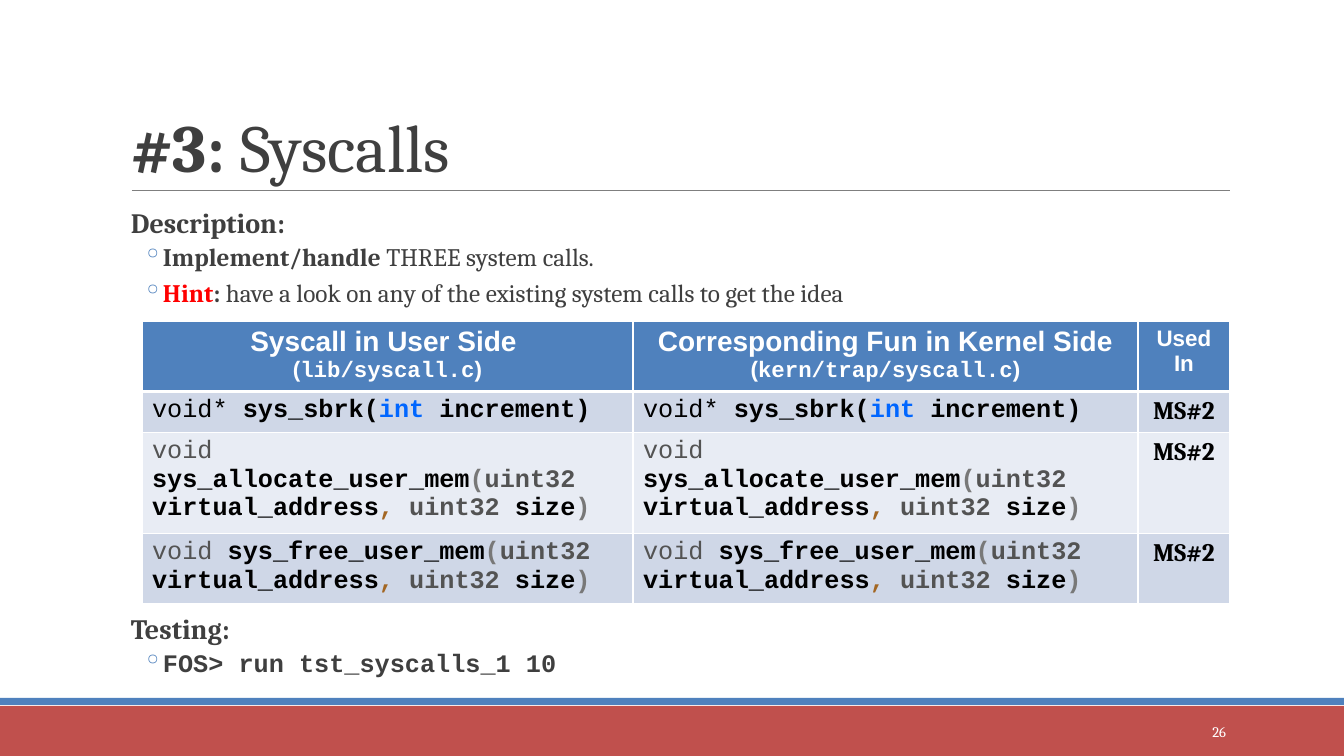
from lxml.etree import SubElement
from pptx import Presentation
from pptx.dml.color import RGBColor
from pptx.enum.shapes import MSO_CONNECTOR, MSO_SHAPE
from pptx.enum.text import MSO_ANCHOR, PP_ALIGN
from pptx.oxml.ns import qn
from pptx.util import Emu, Pt

BLUE, RED, WHITE, BLACK, DARK = "4F81BD", "C0504D", "FFFFFF", "000000", "3F3F3F"
GREY, BRACKET, COMMA, KEYWORD = "535353", "787878", "A36622", "0066FF"
SERIF, SANS, MONO = "Cambria", "Arial", "Courier New"


def px(*values):
    return [Emu(round(value * 914400 / 100.8)) for value in values]


def write(para, spans, **para_format):
    """Each span is (text, font name, size, colour, bold)."""
    for name, value in para_format.items():
        setattr(para, name, value)
    for text, font_name, size, colour, bold in spans:
        span = para.add_run()
        span.text = text
        font_format = {"name": font_name, "size": Pt(size), "bold": bold}
        for name, value in font_format.items():
            setattr(span.font, name, value)
        span.font.color.rgb = RGBColor.from_string(colour)


deck = Presentation()
deck.slide_width, deck.slide_height = px(1344, 756)
page = deck.slides.add_slide(deck.slide_layouts[5])

# Footer bands
for top, height, colour in [(706, 50, RED), (698, 7, BLUE)]:
    band = page.shapes.add_shape(MSO_SHAPE.RECTANGLE, *px(0, top, 1344, height))
    band.shadow.inherit = False
    band.fill.solid()
    band.fill.fore_color.rgb = RGBColor.from_string(colour)
    band.line.fill.background()

# Rule under the title
rule = page.shapes.add_connector(MSO_CONNECTOR.STRAIGHT, *px(132, 191, 1230, 191))
rule.line.color.rgb = RGBColor.from_string("7F7F7F")
rule.line.width = Pt(0.75)
SubElement(rule._element.spPr, qn("a:effectLst"))

# Title
title = page.shapes.title
title.left, title.top, title.width, title.height = px(121, 31, 1109, 160)
title.text_frame.vertical_anchor = MSO_ANCHOR.BOTTOM
write(title.text_frame.paragraphs[0],
      [("#3:", SERIF, 48, DARK, True), (" Syscalls", SERIF, 48, DARK, False)],
      alignment=PP_ALIGN.LEFT, line_spacing=0.85)

# Headed bullet lists above and below the table
sections = [
    (204, 110, "Description:", [
        [("Implement/handle ", SERIF, 18, DARK, True),
         ("THREE system calls.", SERIF, 18, DARK, False)],
        [("Hint", SERIF, 18, "FF0000", True), (":", SERIF, 18, DARK, True),
         (" have a look on any of the existing system calls to get the idea",
          SERIF, 18, DARK, False)],
    ]),
    (610, 80, "Testing:", [
        [("FOS> run tst_syscalls_1 10", MONO, 18, DARK, True)],
    ]),
]
for top, height, heading, bullets in sections:
    box = page.shapes.add_textbox(*px(121, top, 1109, height))
    frame = box.text_frame
    frame.word_wrap = True
    frame.margin_left = frame.margin_right = 0
    para = frame.paragraphs[0]
    write(para, [(heading, SERIF, 20, DARK, True)], line_spacing=0.9)
    para._p.get_or_add_pPr().set("marL", str(px(10)[0]))
    for index, spans in enumerate(bullets):
        para = frame.add_paragraph()
        write(para, spans, line_spacing=0.9, space_before=Pt(6 if index else 4))
        properties = para._p.get_or_add_pPr()
        margin, indent = px(42, -20)
        properties.set("marL", str(margin))
        properties.set("indent", str(indent))
        bullet_colour = SubElement(properties, qn("a:buClr"))
        SubElement(bullet_colour, qn("a:srgbClr"), val=BLUE)
        SubElement(properties, qn("a:buChar"), char="◦")

# Table contents: every cell is a list of paragraphs
user_head, kernel_head = [
    ([(heading, SANS, 20, WHITE, True)],
     [("(", SANS, 16, WHITE, True), (source, MONO, 16, WHITE, True),
      (")", SANS, 16, WHITE, True)])
    for heading, source in [
        ("Syscall in User Side ", "lib/syscall.c"),
        ("Corresponding Fun in Kernel Side ", "kern/trap/syscall.c")]
]
header = [list(user_head), [kernel_head[0] + kernel_head[1]],
          [[("Used In", SANS, 16, WHITE, True)]]]
signatures = [[("void* ", BLACK), ("sys_sbrk(", BLACK), ("int", KEYWORD),
               (" increment)", BLACK)]]
for function in ["sys_allocate_user_mem", "sys_free_user_mem"]:
    signatures.append([
        ("void ", GREY), (function, BLACK), ("(", BRACKET), ("uint32", GREY),
        (" virtual_address", BLACK), (", ", COMMA), ("uint32", GREY),
        (" size", BLACK), (")", BRACKET)])
rows = [header]
for signature in signatures:
    code = [(text, MONO, 18, colour, index > 0)
            for index, (text, colour) in enumerate(signature)]
    rows.append([[code], [code], [[("MS#2", SERIF, 18, BLACK, True)]]])

# Table
column_widths, row_heights = [491, 505, 92], [67, 41, 96, 67]
row_fills = [BLUE, "CFD7E7", "E8ECF4", "CFD7E7"]
table = page.shapes.add_table(
    len(rows), len(column_widths),
    *px(142, 321, sum(column_widths), sum(row_heights))).table
for column, width in zip(table.columns, px(*column_widths)):
    column.width = width
for row, height in zip(table.rows, px(*row_heights)):
    row.height = height
for row_index, row in enumerate(rows):
    for column_index, paragraphs in enumerate(row):
        cell = table.cell(row_index, column_index)
        centred = row_index == 0 or column_index == 2
        for index, spans in enumerate(paragraphs):
            frame = cell.text_frame
            para = frame.add_paragraph() if index else frame.paragraphs[0]
            write(para, spans,
                  alignment=PP_ALIGN.CENTER if centred else PP_ALIGN.LEFT)
        properties = cell._tc.get_or_add_tcPr()
        for side in "LRTB":
            thick = (row_index, side) in [(0, "B"), (1, "T")]
            border = SubElement(properties, qn(f"a:ln{side}"),
                                w=str(Pt(3 if thick else 1)))
            SubElement(SubElement(border, qn("a:solidFill")),
                       qn("a:srgbClr"), val=WHITE)
        cell.fill.solid()
        cell.fill.fore_color.rgb = RGBColor.from_string(row_fills[row_index])

# Page number
number = page.shapes.add_textbox(*px(1092, 712, 144, 40))
number.text_frame.word_wrap = True
number.text_frame.vertical_anchor = MSO_ANCHOR.MIDDLE
write(number.text_frame.paragraphs[0], [("26", SERIF, 10.5, WHITE, False)],
      alignment=PP_ALIGN.RIGHT)

deck.save("out.pptx")
